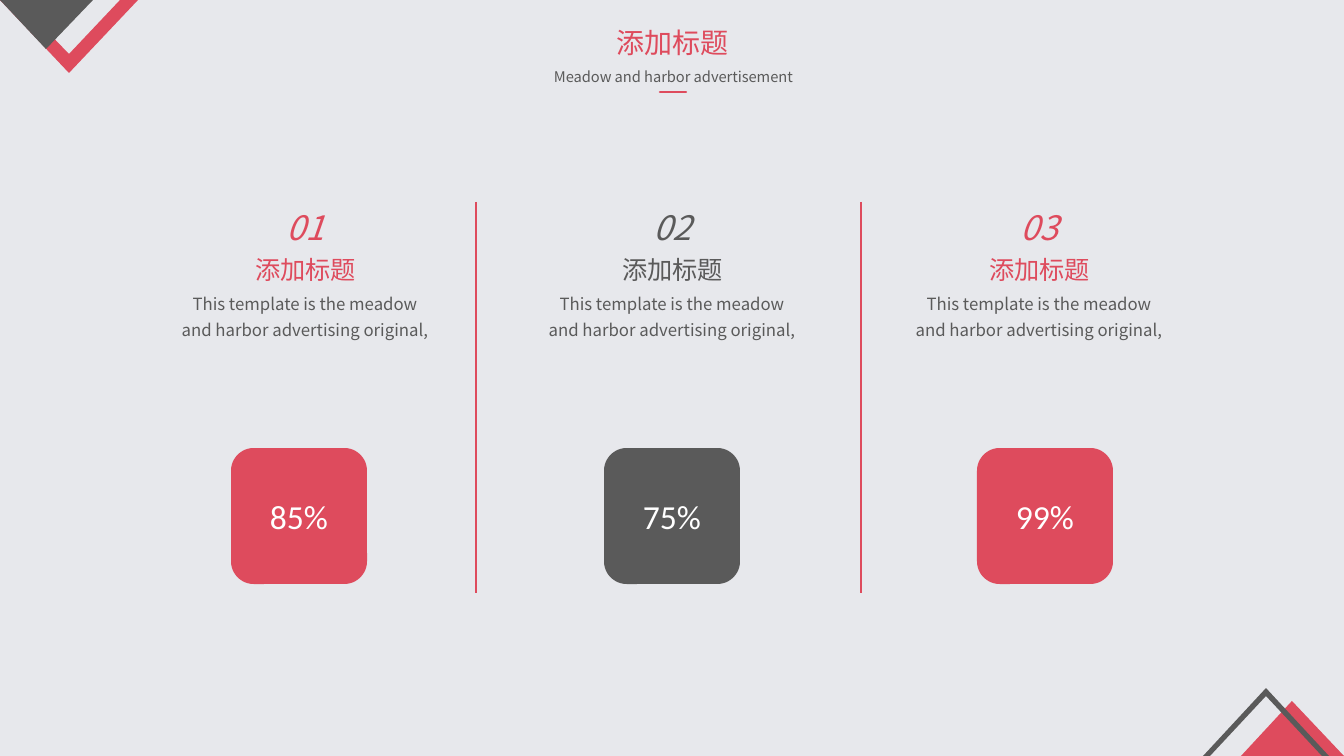
from dataclasses import dataclass

from lxml import etree
from pptx import Presentation
from pptx import util as u
from pptx.dml.color import RGBColor
from pptx.enum import shapes, text
from pptx.oxml import ns

SCALE = 914400 / 100.8  # EMU per pixel
COLORS = {"back": "E7E8EC", "red": "DE4B5D", "gray": "5A5A5A", "white": "FFFFFF"}
CJK = "Noto Sans CJK SC"
HEADING = "添加标题"
BODY = "This template is the meadow and harbor advertising original,"


@dataclass
class Label:
    words: str
    box: tuple[int, int, int, int]
    size: float
    color: str
    wrap: bool = False
    spacing: float = 1.0
    italic: bool = False


@dataclass
class Corner:
    color: str
    points: list[tuple[int, int]]


@dataclass
class Rule:
    start: tuple[int, int]
    end: tuple[int, int]
    width: float
    cap: str = "flat"


@dataclass
class Column:
    number: str
    percent: str
    color: str


def px(value: float) -> int:
    return round(value * SCALE)


def rgb(name: str) -> RGBColor:
    return RGBColor.from_string(COLORS[name])


def set_all(target, values: dict) -> None:
    for key, value in values.items():
        setattr(target, key, value)


def write(frame, words: str, size: float, color: str, face: str,
          spacing: float = 1.0, italic: bool = False) -> None:
    paragraph = frame.paragraphs[0]
    set_all(paragraph, {"alignment": text.PP_ALIGN.CENTER, "line_spacing": spacing})
    run = paragraph.add_run()
    run.text = words
    set_all(run.font, {"size": u.Pt(size), "name": face, "italic": italic})
    run.font.color.rgb = rgb(color)
    etree.SubElement(run.font._element, ns.qn("a:ea"), typeface=face)


def paint(shape, color: str) -> None:
    shape.shadow.inherit = False
    shape.fill.solid()
    shape.fill.fore_color.rgb = rgb(color)
    shape.line.fill.background()


def draw_label(label: Label) -> None:
    frame = slide.shapes.add_textbox(*map(px, label.box)).text_frame
    set_all(frame, {"word_wrap": label.wrap,
                    "auto_size": text.MSO_AUTO_SIZE.SHAPE_TO_FIT_TEXT})
    write(frame, label.words, label.size, label.color, CJK, label.spacing, label.italic)


def draw_corner(corner: Corner) -> None:
    builder = slide.shapes.build_freeform(*corner.points[0], scale=SCALE)
    builder.add_line_segments(corner.points[1:], close=True)
    paint(builder.convert_to_shape(), corner.color)


def draw_rule(rule: Rule) -> None:
    line = slide.shapes.add_connector(shapes.MSO_CONNECTOR.STRAIGHT,
                                      *map(px, rule.start + rule.end))
    line.line.color.rgb = rgb("red")
    line.line.width = u.Pt(rule.width)
    properties = line._element.spPr
    properties.find(ns.qn("a:ln")).set("cap", rule.cap)
    etree.SubElement(properties, ns.qn("a:effectLst"))


def draw_badge(left: int, column: Column) -> None:
    badge = slide.shapes.add_shape(shapes.MSO_SHAPE.ROUNDED_RECTANGLE,
                                   *map(px, (left, 448, 136, 136)))
    paint(badge, column.color)
    badge.text_frame.vertical_anchor = text.MSO_ANCHOR.MIDDLE
    write(badge.text_frame, column.percent, 24, "white", "Calibri")


deck = Presentation()
set_all(deck, {"slide_width": px(1344), "slide_height": px(756)})
slide = deck.slides.add_slide(deck.slide_layouts[6])
slide.background.fill.solid()
slide.background.fill.fore_color.rgb = rgb("back")

# Corner ornaments
for ornament in (
    Corner("red", [(69, 73), (138, 0), (120, 0), (69, 54), (17, 0), (0, 0)]),
    Corner("gray", [(46, 49), (93, 0), (0, 0)]),
    Corner("red", [(1292, 701), (1241, 756), (1344, 756)]),
    Corner("gray", [(1329, 756), (1322, 756), (1266, 696), (1210, 756),
                    (1203, 756), (1266, 688)]),
):
    draw_corner(ornament)

# Slide heading
draw_label(Label(HEADING, (606, 21, 133, 44), 20, "red"))
draw_label(Label("Meadow and harbor advertisement", (497, 58, 353, 31), 10.5, "gray",
                 wrap=True, spacing=1.3))

# Heading underline and column dividers
draw_rule(Rule((660, 92), (686, 92), 1.75, "rnd"))
for divider in (476, 861):
    draw_rule(Rule((divider, 202), (divider, 593), 2))

# Three columns
columns = [Column("01", "85%", "red"), Column("02", "75%", "gray"),
           Column("03", "99%", "red")]
for index, column in enumerate(columns):
    draw_badge(231 + 373 * index, column)
    left = 171 + 367 * index
    draw_label(Label(HEADING, (left + 74, 249, 121, 40), 18, column.color))
    draw_label(Label(BODY, (left, 283, 268, 64), 12, "gray", wrap=True, spacing=1.3))
    draw_label(Label(column.number, (left + 74, 202, 121, 50), 24, column.color,
                     italic=True))

deck.save("out.pptx")
